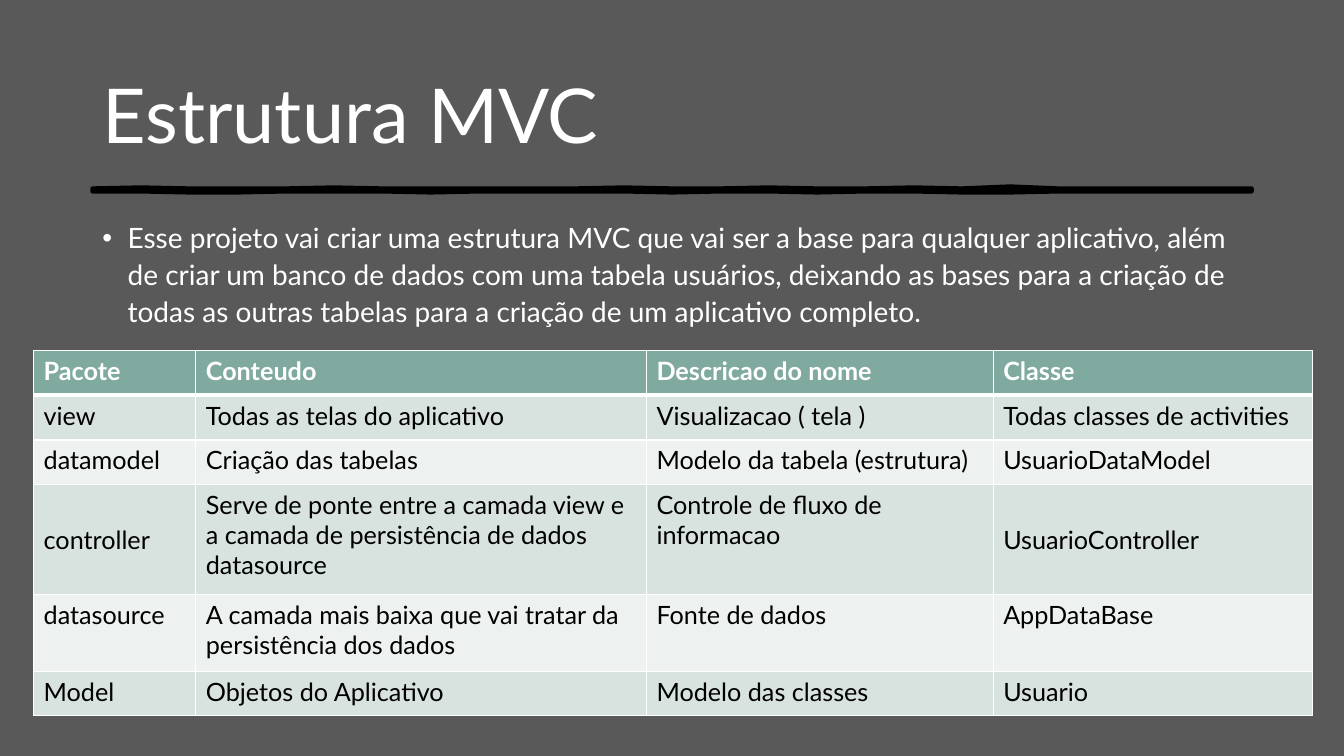
from dataclasses import dataclass
from lxml.etree import SubElement
from pptx import Presentation
from pptx.dml.color import RGBColor
from pptx.enum.text import MSO_ANCHOR as Anchor, MSO_AUTO_SIZE as Fit, PP_ALIGN as Align
from pptx.oxml.ns import qn
from pptx.slide import Slide
from pptx.util import Emu, Inches, Pt

WHITE = RGBColor(0xFF, 0xFF, 0xFF)
BLACK = RGBColor(0, 0, 0)
GREY = RGBColor(0x59, 0x59, 0x59)
GREEN = RGBColor(0x80, 0xAA, 0x9F)
MIST = RGBColor(0xD8, 0xE2, 0xDF)
PALE = RGBColor(0xED, 0xF1, 0xF0)
FONT = "Lato"
WIDE, HIGH = Inches(13.333), Inches(7.5)


def across(share: float) -> Emu:
    return Emu(round(WIDE * share / 100))


def down(share: float) -> Emu:
    return Emu(round(HIGH * share / 100))


@dataclass
class Box:
    left: float
    top: float
    width: float
    height: float

    def place(self) -> tuple[Emu, Emu, Emu, Emu]:
        return across(self.left), down(self.top), across(self.width), down(self.height)


@dataclass
class Row:
    height: float
    cells: tuple[str, ...]
    middle: tuple[int, ...] = ()


TITLE = Box(6.88, 5.33, 86.25, 19.33)
BODY = Box(6.88, 28.13, 86.25, 17.33)
TABLE = Box(2.5, 46.4, 95.18, 48.3)
COLS = (12.07, 33.53, 25.8, 23.78)
INTRO = (
    "Esse projeto vai criar uma estrutura MVC que vai ser a base para qualquer aplicativo, "
    "além de criar um banco de dados com uma tabela usuários, deixando as bases para a "
    "criação de todas as outras tabelas para a criação de um aplicativo completo."
)
ROWS = (
    Row(5.9, ("Pacote", "Conteudo", "Descricao do nome", "Classe")),
    Row(5.9, ("view", "Todas as telas do aplicativo", "Visualizacao ( tela )",
              "Todas classes de activities")),
    Row(5.9, ("datamodel", "Criação das tabelas", "Modelo da tabela (estrutura)",
              "UsuarioDataModel")),
    Row(14.57, ("controller",
                "Serve de ponte entre a camada view e a camada de persistência de dados datasource",
                "Controle de fluxo de informacao", "UsuarioController"), (0, 3)),
    Row(10.13, ("datasource", "A camada mais baixa que vai tratar da persistência dos dados",
                "Fonte de dados", "AppDataBase")),
    Row(5.9, ("Model", "Objetos do Aplicativo", "Modelo das classes", "Usuario")),
)
CREST = (187, 186, 187, 187, 187, 186, 187, 187, 187, 187, 187, 186, 187,
         187, 186, 187, 187, 186, 187, 185, 187, 187, 187, 187, 187)
TROUGH = (190, 190, 191, 191, 190, 190, 190, 191, 190, 190, 190, 190, 191,
          190, 190, 191, 190, 190, 191, 191, 190, 190, 190, 190, 190)


def style(par, size: float, color: RGBColor, bold: bool = False) -> None:
    font = par.font
    font.name, font.size, font.bold = FONT, Pt(size), bold
    font.color.rgb = color


def draw_title(slide: Slide) -> None:
    title = slide.shapes.title
    title.left, title.top, title.width, title.height = TITLE.place()
    frame = title.text_frame
    frame.text = "Estrutura MVC"
    frame.word_wrap, frame.auto_size = True, Fit.NONE
    frame.vertical_anchor = Anchor.MIDDLE
    par = frame.paragraphs[0]
    par.alignment = Align.LEFT
    style(par, 54, WHITE)


def draw_stroke(slide: Slide) -> None:
    step = TITLE.width / (len(CREST) - 1)
    marks = [across(TITLE.left + i * step) for i in range(len(CREST))]
    edge = [(x, Inches(y / 100)) for x, y in zip(marks, CREST)]
    edge += [(x, Inches(y / 100)) for x, y in zip(marks[::-1], TROUGH[::-1])]
    pen = slide.shapes.build_freeform(*edge[0])
    pen.add_line_segments(edge[1:], close=True)
    stroke = pen.convert_to_shape()
    stroke.shadow.inherit = False
    stroke.fill.solid()
    stroke.fill.fore_color.rgb = BLACK
    stroke.line.color.rgb = BLACK
    stroke.line.width = Pt(3)


def draw_intro(slide: Slide) -> None:
    frame = slide.shapes.add_textbox(*BODY.place()).text_frame
    frame.word_wrap = True
    par = frame.paragraphs[0]
    par.text = INTRO
    par.line_spacing = 1.1
    props = par._p.get_or_add_pPr()
    props.set("marL", str(Inches(0.25)))
    props.set("indent", str(Inches(-0.25)))
    SubElement(props, qn("a:buFont"), typeface="Arial")
    SubElement(props, qn("a:buChar"), char="•")
    style(par, 20, WHITE)


def add_edge(cell, side: str, width: float) -> None:
    line = SubElement(cell._tc.get_or_add_tcPr(), qn(f"a:ln{side}"), w=str(Pt(width)))
    fill = SubElement(line, qn("a:solidFill"))
    SubElement(fill, qn("a:srgbClr"), val=str(WHITE))


def draw_table(slide: Slide) -> None:
    table = slide.shapes.add_table(len(ROWS), len(COLS), *TABLE.place()).table
    for col, width in zip(table.columns, COLS):
        col.width = across(width)
    for r, row in enumerate(ROWS):
        table.rows[r].height = down(row.height)
        head = r == 0
        for c, text in enumerate(row.cells):
            cell = table.cell(r, c)
            cell.text = text
            cell.vertical_anchor = Anchor.MIDDLE if c in row.middle else Anchor.TOP
            for side in "LRTB":
                thick = (side == "B" and head) or (side == "T" and r == 1)
                add_edge(cell, side, 3 if thick else 1)
            cell.fill.solid()
            cell.fill.fore_color.rgb = GREEN if head else MIST if r % 2 else PALE
            style(cell.text_frame.paragraphs[0], 18, WHITE if head else BLACK, head)


def main() -> None:
    deck = Presentation()
    deck.slide_width, deck.slide_height = WIDE, HIGH
    slide = deck.slides.add_slide(deck.slide_layouts.get_by_name("Title Only"))
    slide.background.fill.solid()
    slide.background.fill.fore_color.rgb = GREY
    draw_stroke(slide)
    draw_title(slide)
    draw_intro(slide)
    draw_table(slide)
    deck.save("out.pptx")


if __name__ == "__main__":
    main()
